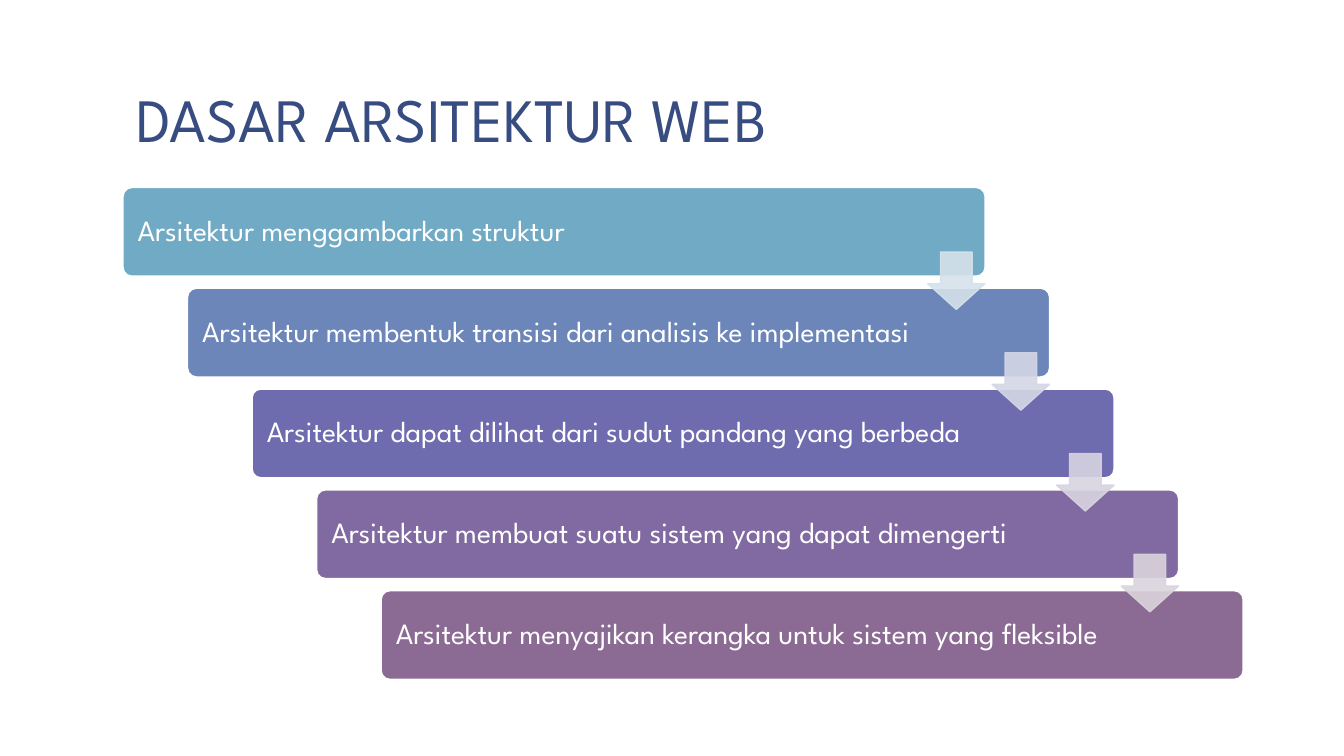
from lxml.etree import SubElement
from pptx import Presentation
from pptx.dml.color import RGBColor
from pptx.enum.shapes import MSO_SHAPE
from pptx.enum.text import MSO_ANCHOR, PP_ALIGN
from pptx.oxml.ns import qn
from pptx.util import Inches, Pt

STEPS = [
    ("Arsitektur menggambarkan struktur", "70AAC4"),
    ("Arsitektur membentuk transisi dari analisis ke implementasi", "6D86B9"),
    ("Arsitektur dapat dilihat dari sudut pandang yang berbeda", "6E6BAE"),
    ("Arsitektur membuat suatu sistem yang dapat dimengerti", "816AA1"),
    ("Arsitektur menyajikan kerangka untuk sistem yang fleksible", "8B6A94"),
]
ARROW_COLORS = ["D5E2EA", "D4D7E6", "D8D4E1", "DAD4DC"]
STEP_X, STEP_Y = 0.64, 1.0


def color(value):
    return RGBColor.from_string(value)


def set_values(target, values):
    for name, value in values.items():
        setattr(target, name, value)


class StaircaseSlide:
    font = "League Spartan"
    white = "FFFFFF"

    def __init__(self, presentation):
        self.slide = presentation.slides.add_slide(presentation.slide_layouts[6])
        background = self.slide.background.fill
        background.solid()
        background.fore_color.rgb = color(self.white)

    def set_text(self, shape, text, size, text_color, spacing, anchor, margins):
        left, top, right, bottom = (Inches(margin) for margin in margins)
        set_values(shape.text_frame, {
            "word_wrap": True, "vertical_anchor": anchor,
            "margin_left": left, "margin_top": top,
            "margin_right": right, "margin_bottom": bottom})
        paragraph = shape.text_frame.paragraphs[0]
        set_values(paragraph, {"text": text, "alignment": PP_ALIGN.LEFT,
                               "line_spacing": spacing})
        set_values(paragraph.font, {"name": self.font, "size": Pt(size)})
        paragraph.font.color.rgb = color(text_color)

    def title(self, text, *box):
        shape = self.slide.shapes.add_textbox(*map(Inches, box))
        self.set_text(shape, text, 44, "374C81", 0.85, MSO_ANCHOR.BOTTOM,
                      (0.13, 0.07, 0.13, 0.07))

    def block(self, kind, box, adjustments, fill, line):
        shape = self.slide.shapes.add_shape(kind, *map(Inches, box))
        shape.shadow.inherit = False
        for index, value in enumerate(adjustments):
            shape.adjustments[index] = value
        shape.fill.solid()
        shape.fill.fore_color.rgb = color(fill)
        shape.line.color.rgb = color(line)
        shape.line.width = Pt(1)
        return shape

    def bar(self, text, fill, *box):
        shape = self.block(MSO_SHAPE.ROUNDED_RECTANGLE, box, [0.1], fill, self.white)
        self.set_text(shape, text, 21, self.white, 0.9, MSO_ANCHOR.MIDDLE,
                      (0.12, 0.12, 0.12, 0.12))

    def arrow(self, fill, *box):
        shape = self.block(MSO_SHAPE.DOWN_ARROW, box, [0.55, 0.45], fill, fill)
        # Fill and outline are both 90 % opaque
        for element in shape.element.spPr.iter(qn("a:srgbClr")):
            SubElement(element, qn("a:alpha"), val="90000")


def main():
    presentation = Presentation()
    set_values(presentation, {"slide_width": Inches(13.33),
                              "slide_height": Inches(7.5)})
    staircase = StaircaseSlide(presentation)

    # Title
    staircase.title("DASAR ARSITEKTUR WEB", 1.22, 0.08, 11.11, 1.53)

    # Descending bars
    for index, (text, fill) in enumerate(STEPS):
        staircase.bar(text, fill, 1.22 + index * STEP_X, 1.86 + index * STEP_Y,
                      8.55, 0.88)

    # Arrows from each bar to the next
    for index, fill in enumerate(ARROW_COLORS):
        staircase.arrow(fill, 9.2 + index * STEP_X, 2.5 + index * STEP_Y, 0.57, 0.57)

    presentation.save("out.pptx")


if __name__ == "__main__":
    main()
